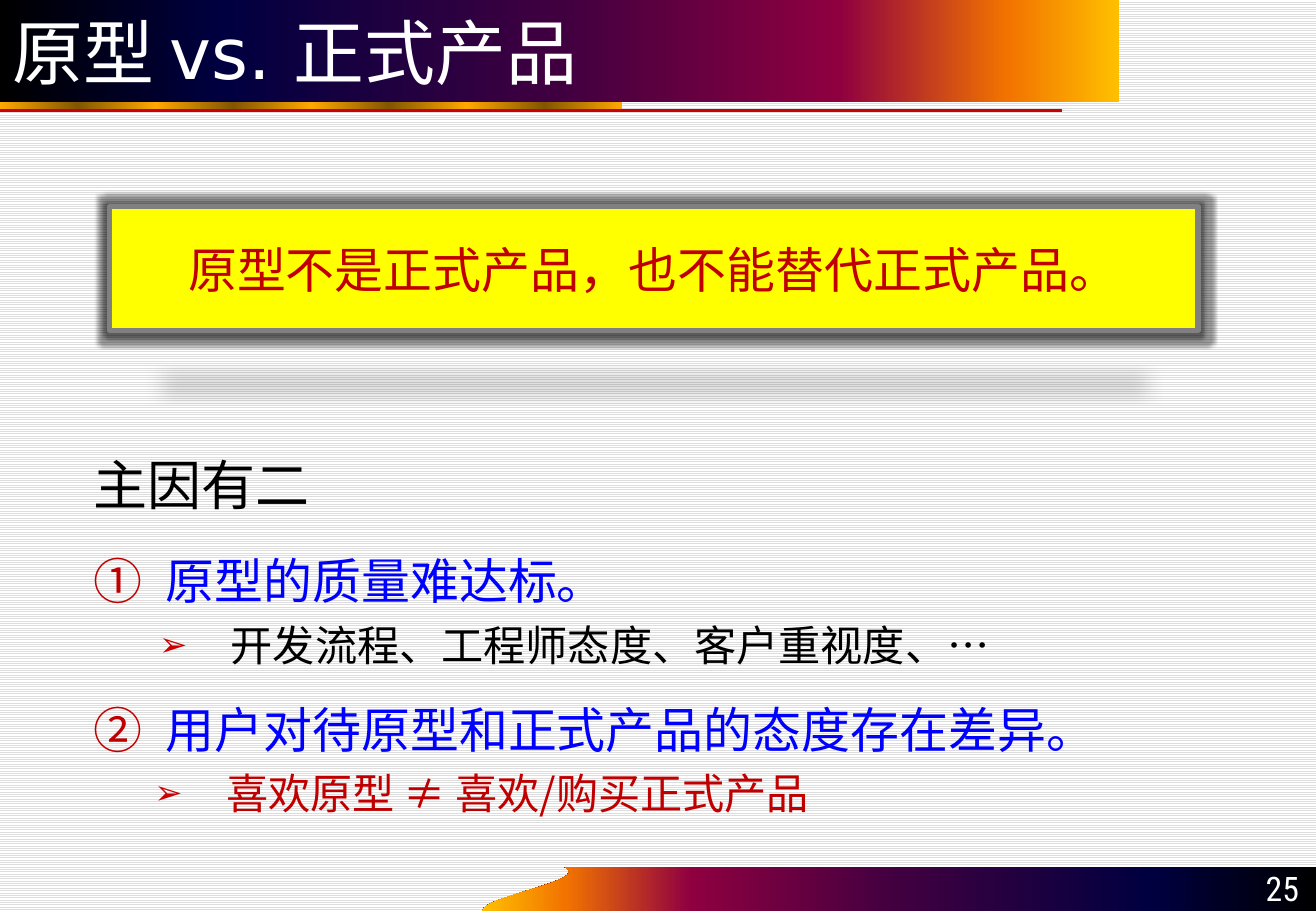
import pptx
import pptx.dml.color
import pptx.enum.dml
import pptx.enum.lang
import pptx.enum.shapes
import pptx.enum.text
import pptx.oxml
import pptx.oxml.ns
import pptx.util

Inches, Pt = pptx.util.Inches, pptx.util.Pt
RGBColor = pptx.dml.color.RGBColor
PP_ALIGN, MSO_ANCHOR = pptx.enum.text.PP_ALIGN, pptx.enum.text.MSO_ANCHOR
qn = pptx.oxml.ns.qn
NS = pptx.oxml.ns.nsdecls("a")

BLACK = RGBColor(0, 0, 0)
WHITE = RGBColor(255, 255, 255)
STRIPE = RGBColor(0xDD, 0xDD, 0xDD)
GREY = RGBColor(0x80, 0x80, 0x80)
YELLOW = RGBColor(255, 255, 0)
BLUE = RGBColor(0, 0, 255)
RED = RGBColor(0xC0, 0, 0)
RULE_RED = RGBColor(0xCC, 0, 0)
BROWN = RGBColor(0x82, 0x56, 0)
AMBER = RGBColor(255, 0xA8, 0)
SUNSET = [(0, BLACK), (20, RGBColor(0, 0, 0x40)), (50, RGBColor(0x40, 0, 0x40)),
          (75, RGBColor(0x8F, 0, 0x40)), (90, RGBColor(0xF2, 0x73, 0)),
          (100, RGBColor(255, 0xBF, 0))]
BRONZE = [(i * 12.5, BROWN if i % 2 else AMBER) for i in range(9)]

DEJAVU, CJK, ROBOTO = "DejaVu Sans", "Noto Sans CJK SC", "Roboto Condensed"
TITLE = "原型 vs. 正式产品"
CLAIM = "原型不是正式产品，也不能替代正式产品。"
PAGE = "25"
# text, level, size, colour, space before, left indent, hanging, bullet
REASONS = [
    ("主因有二", 0, 32, BLACK, 0, 0.54, 0.54, None),
    ("原型的质量难达标。", 0, 29, BLUE, 20, 0.59, 0.59, 1),
    ("开发流程、工程师态度、客户重视度、…", 1, 25, BLACK, 6, 1.13, 0.59, "➢"),
    ("用户对待原型和正式产品的态度存在差异。", 0, 29, BLUE, 17.5, 0.59, 0.59, 2),
    ("喜欢原型 ≠ 喜欢/购买正式产品", 1, 25, RED, 5.5, 1.09, 0.59, "➢"),
]


def add_text(p, text, size, color, font=CJK, align=PP_ALIGN.LEFT):
    p.alignment = align
    r = p.add_run()
    r.text = text
    r.font.size, r.font.name = Pt(size), font
    r.font.color.rgb = color
    r.font.language_id = pptx.enum.lang.MSO_LANGUAGE_ID.SIMPLIFIED_CHINESE
    latin = r.font._element.find(qn("a:latin"))
    latin.addnext(pptx.oxml.parse_xml(f'<a:ea {NS} typeface="{CJK}"/>'))


def set_frame(sp, anchor):
    tf = sp.text_frame
    tf.word_wrap = True
    tf.auto_size = pptx.enum.text.MSO_AUTO_SIZE.NONE
    tf.vertical_anchor = anchor
    return tf


def place(sp, left, top, width, height):
    sp.left, sp.top = Inches(left), Inches(top)
    sp.width, sp.height = Inches(width), Inches(height)


def set_gradient(sp, stops, angle=0):
    sp.fill.gradient()
    sp.fill.gradient_angle = angle
    gs_list = sp._element.spPr.find(".//" + qn("a:gsLst"))
    for gs in list(gs_list):
        gs_list.remove(gs)
    for pos, color in stops:
        gs_list.append(pptx.oxml.parse_xml(
            f'<a:gs {NS} pos="{int(pos * 1000)}"><a:srgbClr val="{color}"/></a:gs>'))


def set_bullet(p, bullet, left, hanging):
    pPr = p._p.get_or_add_pPr()
    pPr.set("marL", str(Inches(left)))
    pPr.set("indent", str(-Inches(hanging)))
    if bullet is None:
        parts = ["<a:buNone {}/>"]
    elif isinstance(bullet, int):
        parts = [f'<a:buClr {{}}><a:srgbClr val="{RED}"/></a:buClr>',
                 f'<a:buFont {{}} typeface="{CJK}"/>',
                 f'<a:buAutoNum {{}} type="circleNumDbPlain" startAt="{bullet}"/>']
    else:
        parts = [f'<a:buClr {{}}><a:srgbClr val="{RULE_RED}"/></a:buClr>',
                 '<a:buSzPct {} val="80000"/>',
                 f'<a:buFont {{}} typeface="{DEJAVU}"/>',
                 f'<a:buChar {{}} char="{bullet}"/>']
    for part in parts:
        pPr.append(pptx.oxml.parse_xml(part.format(NS)))


def bezier(a, b, c, d, steps=16):
    """Points along a cubic curve, without its start."""
    for t in (i / steps for i in range(1, steps + 1)):
        u = 1 - t
        yield tuple(Inches(u**3 * w + 3 * u * u * t * x + 3 * u * t * t * y + t**3 * z)
                    for w, x, y, z in zip(a, b, c, d))


prs = pptx.Presentation()
prs.slide_width, prs.slide_height = Inches(10.83), Inches(7.5)
slide = prs.slides.add_slide(prs.slide_layouts[1])
shapes = slide.shapes
bg = slide.background.fill
bg.patterned()
bg.pattern = pptx.enum.dml.MSO_PATTERN.LIGHT_HORIZONTAL
bg.fore_color.rgb, bg.back_color.rgb = STRIPE, WHITE

title = shapes.title
place(title, 0, 0, 9.21, 0.84)
set_gradient(title, SUNSET)
add_text(set_frame(title, MSO_ANCHOR.MIDDLE).paragraphs[0], TITLE, 42, WHITE, font=DEJAVU)

RECT = pptx.enum.shapes.MSO_SHAPE.RECTANGLE
strip = shapes.add_shape(RECT, 0, Inches(0.76), Inches(5.12), Inches(0.15))
strip.shadow.inherit = False
strip.line.fill.background()
set_gradient(strip, BRONZE)
title._element.addprevious(strip._element)  # the title band overlaps the strip

rule = shapes.add_connector(pptx.enum.shapes.MSO_CONNECTOR.STRAIGHT,
                            0, Inches(0.91), Inches(8.74), Inches(0.91))
rule.line.color.rgb, rule.line.width = RULE_RED, Pt(1.25)
rule._element.spPr.append(pptx.oxml.parse_xml(f"<a:effectLst {NS}/>"))

corner = [(10.83, 7.14), (10.83, 7.5), (3.97, 7.5)]
wave = bezier((3.97, 7.5), (3.97, 7.38), (4.87, 7.25), (4.65, 7.14))
builder = shapes.build_freeform(Inches(4.65), Inches(7.14))
builder.add_line_segments([(Inches(x), Inches(y)) for x, y in corner] + list(wave))
footer = builder.convert_to_shape()
footer.shadow.inherit = False
footer.line.fill.background()
set_gradient(footer, SUNSET, angle=180)

body = slide.placeholders[1]
place(body, 0.67, 3.67, 9.48, 3.15)
tf = set_frame(body, MSO_ANCHOR.TOP)
for i, (text, level, size, color, before, left, hanging, bullet) in enumerate(REASONS):
    p = tf.add_paragraph() if i else tf.paragraphs[0]
    p.level = level
    set_bullet(p, bullet, left, hanging)
    p.space_before = Pt(before)
    add_text(p, text, size, color)

number = shapes.add_textbox(Inches(9.83), Inches(7.13), Inches(0.96), Inches(0.4))
add_text(set_frame(number, MSO_ANCHOR.BOTTOM).paragraphs[0], PAGE, 20, WHITE,
         font=ROBOTO, align=PP_ALIGN.RIGHT)

claim = shapes.add_shape(RECT, Inches(0.9), Inches(1.7), Inches(8.96), Inches(1.02))
claim.fill.solid()
claim.fill.fore_color.rgb = YELLOW
claim.line.color.rgb, claim.line.width = GREY, Pt(3)
claim.shadow.inherit = False
effects = claim._element.spPr.find(qn("a:effectLst"))
effects.append(pptx.oxml.parse_xml(
    f'<a:glow {NS} rad="{Pt(5)}"><a:srgbClr val="{BLACK}">'
    '<a:alpha val="40000"/></a:srgbClr></a:glow>'))
effects.append(pptx.oxml.parse_xml(
    f'<a:outerShdw {NS} blurRad="{Pt(12)}" dist="{Pt(25)}" dir="5400000" sx="90000" '
    f'sy="-19000" rotWithShape="0"><a:srgbClr val="{BLACK}">'
    '<a:alpha val="15000"/></a:srgbClr></a:outerShdw>'))
add_text(set_frame(claim, MSO_ANCHOR.MIDDLE).paragraphs[0], CLAIM, 29, RED,
         font=DEJAVU, align=PP_ALIGN.CENTER)

prs.save("out.pptx")
